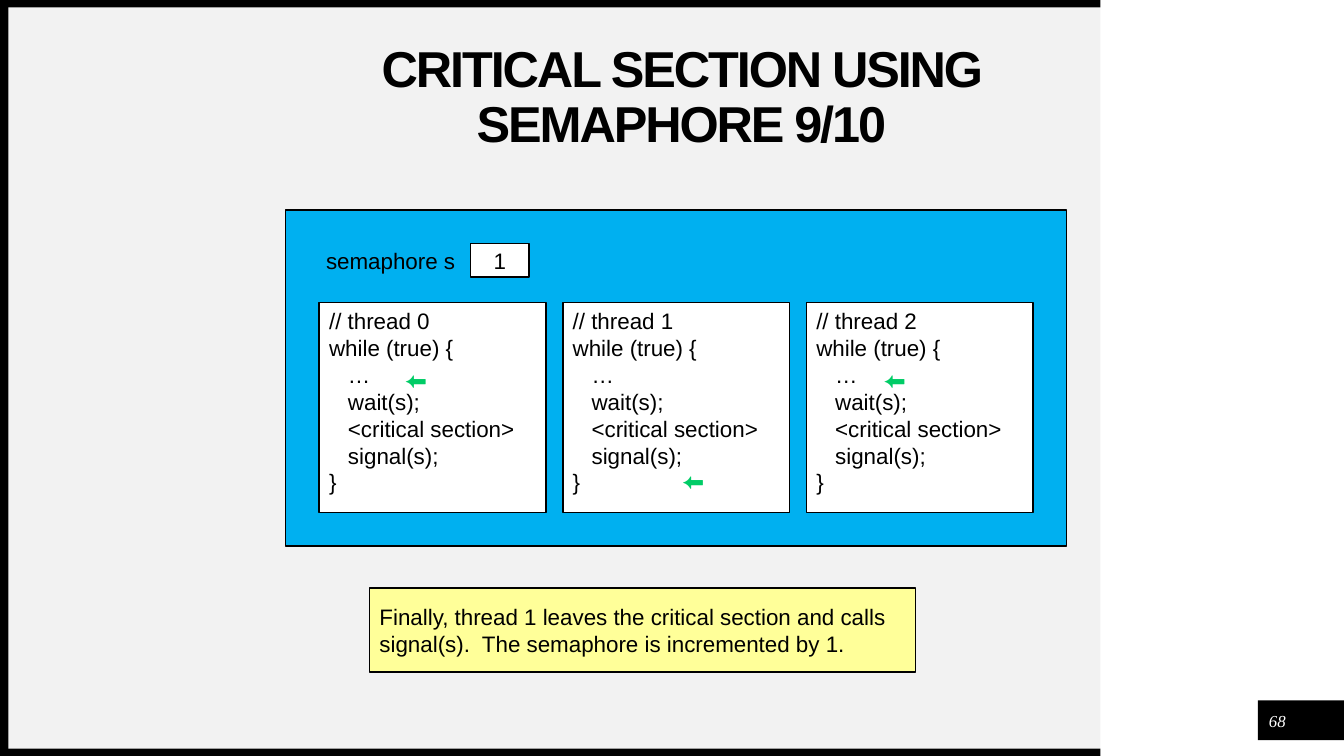
from pptx import Presentation
from pptx.dml.color import RGBColor
from pptx.enum.shapes import MSO_SHAPE
from pptx.enum.text import MSO_ANCHOR, PP_ALIGN
from pptx.util import Pt

PX = 9525  # EMU in one px, 96 px to the inch
BLACK = RGBColor(0x00, 0x00, 0x00)
WHITE = RGBColor(0xFF, 0xFF, 0xFF)
GRAY = RGBColor(0xF2, 0xF2, 0xF2)
BLUE = RGBColor(0x00, 0xB0, 0xF0)
GREEN = RGBColor(0x00, 0xCC, 0x66)
YELLOW = RGBColor(0xFF, 0xFF, 0x99)

deck = Presentation()
deck.slide_width, deck.slide_height = 1280 * PX, 720 * PX
slide = deck.slides.add_slide(deck.slide_layouts[6])


def add_box(x, y, w, h, fill, line=None):
    box = slide.shapes.add_shape(
        MSO_SHAPE.RECTANGLE, x * PX, y * PX, w * PX, h * PX)
    box.shadow.inherit = False
    box.fill.solid()
    box.fill.fore_color.rgb = fill
    if line is None:
        box.line.fill.background()
    else:
        box.line.color.rgb = line
        box.line.width = Pt(1)
    return box


def add_text(text, box=None, at=None, size=16, font="Arial", color=BLACK,
             bold=False, italic=False, align=PP_ALIGN.LEFT,
             anchor=MSO_ANCHOR.TOP, wrap=True, inset=True, space=None,
             track=0, indent=()):
    """Write text into a box, or into a new text box placed at `at`."""
    if box is None:
        box = slide.shapes.add_textbox(*[n * PX for n in at])
    frame = box.text_frame
    frame.word_wrap = wrap
    frame.vertical_anchor = anchor
    if not inset:
        frame.margin_left = frame.margin_right = 0
        frame.margin_top = frame.margin_bottom = 0
    for i, line in enumerate(text.split("\n")):
        para = frame.add_paragraph() if i else frame.paragraphs[0]
        para.alignment = align
        if space:
            para.line_spacing = space
        if i in indent:
            para._p.get_or_add_pPr().set("marL", str(18 * PX))
        run = para.add_run()
        run.text = line
        run.font.name = font
        run.font.size = Pt(size)
        run.font.bold = bold
        run.font.italic = italic
        run.font.color.rgb = color
        if track:
            run._r.get_or_add_rPr().set("spc", str(track))


# Backdrop and its black edges
add_box(8, 7, 1040, 706, GRAY)
for edge in [(0, 713, 1048, 7), (0, 0, 1048, 7), (0, 0, 8, 720)]:
    add_box(*edge, BLACK)

# Title
add_text("CRITICAL SECTION USING SEMAPHORE 9/10", at=(240, 48, 818, 92),
         size=36, bold=True, align=PP_ALIGN.CENTER, anchor=MSO_ANCHOR.MIDDLE,
         inset=False, space=0.9, track=-150)

# Shared memory with the semaphore
add_box(272, 200, 744, 320, BLUE, BLACK)
mid = dict(align=PP_ALIGN.CENTER, anchor=MSO_ANCHOR.MIDDLE, wrap=False)
add_text("semaphore s", at=(300, 232, 144, 32), inset=False, **mid)
add_text("1", box=add_box(448, 232, 56, 32, WHITE, BLACK), **mid)

# Code of the three threads
CODE = """// thread {}
while (true) {{
…
wait(s);
<critical section>
signal(s);
}}"""
for i in range(3):
    panel = add_box(304 + 232 * i, 288, 216, 200, WHITE, BLACK)
    add_text(CODE.format(i), box=panel, indent=range(2, 6))

# Arrows at the current line of each thread
for x, y in [(376, 344), (640, 440), (832, 344)]:
    add_text("⬅", at=(x, y, 32, 32), color=GREEN, wrap=False)

# Note
add_text("Finally, thread 1 leaves the critical section and calls "
         "signal(s).  The semaphore is incremented by 1.",
         box=add_box(352, 560, 520, 80, YELLOW, BLACK),
         anchor=MSO_ANCHOR.MIDDLE)

# Page number
add_box(1198, 667, 82, 38, BLACK)
add_text("68", at=(1202, 672, 29, 29), size=12, font="Times New Roman",
         color=WHITE, italic=True, inset=False, align=PP_ALIGN.CENTER,
         anchor=MSO_ANCHOR.MIDDLE)

deck.save("out.pptx")
